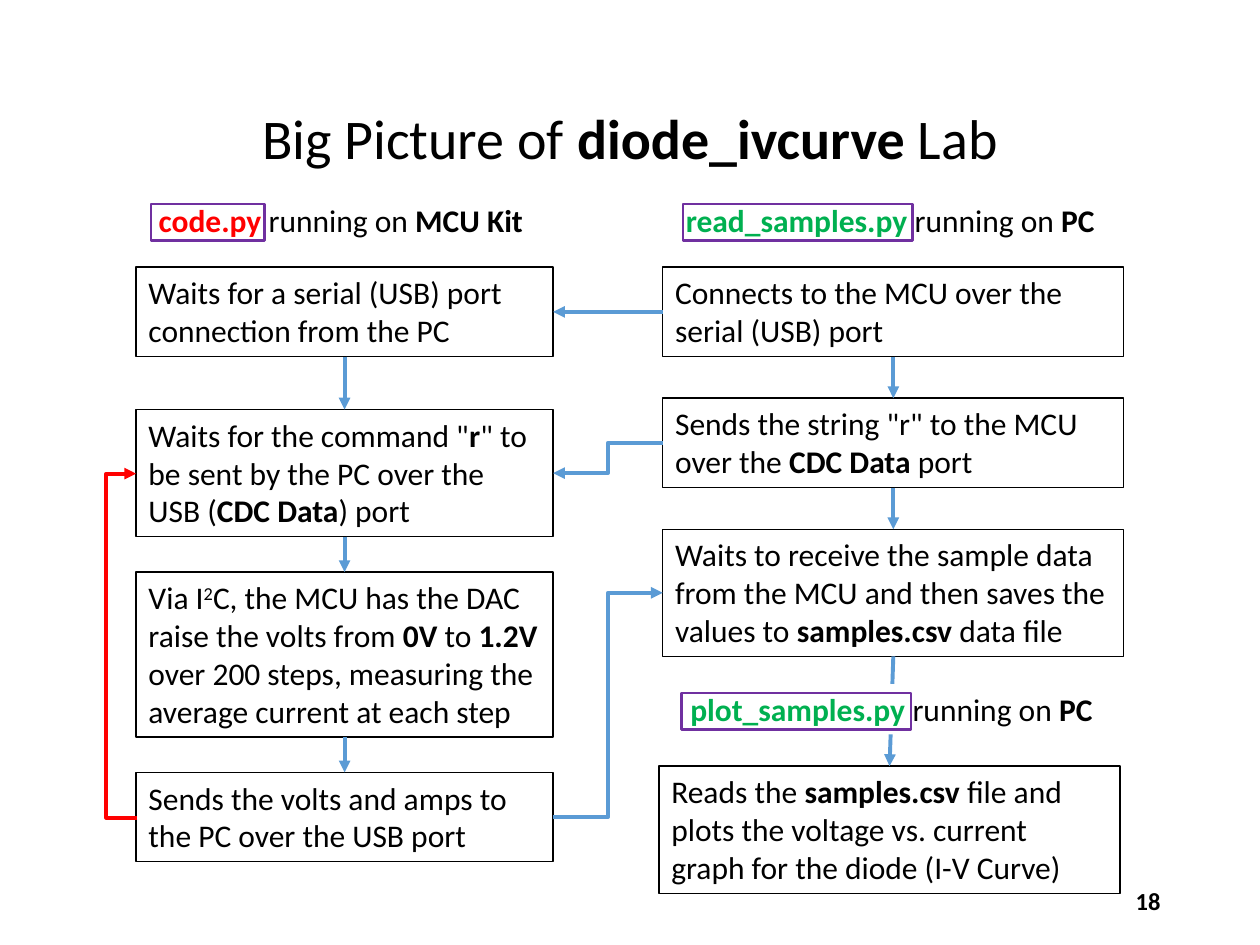
from lxml.etree import SubElement
from pptx import Presentation
from pptx.dml.color import RGBColor
from pptx.enum.shapes import MSO_CONNECTOR as Link, MSO_SHAPE as Shape
from pptx.enum.text import MSO_ANCHOR as Anchor, MSO_AUTO_SIZE as AutoSize, PP_ALIGN as Align
from pptx.oxml.ns import qn
from pptx.util import Inches, Pt

FONT = "Calibri"
BLACK, WHITE, RED, GREEN = "000000", "FFFFFF", "FF0000", "00B050"
BLUE, PURPLE = "5B9BD5", "7030A0"
LINE_HEIGHT, PADDING = 0.3, 0.11
LABEL_HEIGHT = 0.4
TOP, LEFT, BOTTOM, RIGHT = range(4)  # connection sites of a rectangle


def colour(value):
    return RGBColor.from_string(value)


def inches(*lengths):
    return [Inches(length) for length in lengths]


def add_runs(para, spans, size=18):
    """Add spans, each a string or a (text, style) pair with bold, colour or baseline."""
    for item in spans:
        text, style = (item, {}) if isinstance(item, str) else item
        span = para.add_run()
        span.text = text
        span.font.name = FONT
        span.font.size = Pt(size)
        span.font.bold = style.get("bold", False)
        span.font.color.rgb = colour(style.get("colour", BLACK))
        if "baseline" in style:
            span.font._element.set("baseline", str(style["baseline"]))


def bold(text, tint=BLACK):
    return text, {"bold": True, "colour": tint}


def add_rectangle(page, area, line=None, width=0.75, fill=None):
    box = page.shapes.add_shape(Shape.RECTANGLE, *inches(*area))
    box.shadow.inherit = False
    if fill:
        box.fill.solid()
        box.fill.fore_color.rgb = colour(fill)
    else:
        box.fill.background()
    if line:
        box.line.color.rgb = colour(line)
        box.line.width = Pt(width)
    else:
        box.line.fill.background()
    return box


def fill_text(box, spans, align=Align.LEFT, size=18, anchor=Anchor.TOP, grow=True):
    frame = box.text_frame
    frame.word_wrap = True
    frame.auto_size = AutoSize.SHAPE_TO_FIT_TEXT if grow else AutoSize.NONE
    frame.vertical_anchor = anchor
    para = frame.paragraphs[0]
    para.alignment = align
    add_runs(para, spans, size)


def add_step(page, left, top, width, lines, spans):
    box = add_rectangle(page, (left, top, width, PADDING + LINE_HEIGHT * lines), BLACK)
    fill_text(box, spans)
    return box


def add_column(page, left, top, width, steps):
    """Stack steps of (gap above, line count, spans) and return their boxes."""
    boxes = []
    for gap, lines, spans in steps:
        top += gap
        boxes.append(add_step(page, left, top, width, lines, spans))
        top += PADDING + LINE_HEIGHT * lines
    return boxes


def add_label(page, area, script, tint, place, frame_offset, frame_width, fill=None):
    """Centred script caption with a purple frame around the script's name."""
    left, top = area[:2]
    box = add_rectangle(page, area, fill=fill)
    fill_text(box, [bold(script + " ", tint), "running on ", bold(place)], Align.CENTER)
    add_rectangle(page, (left + frame_offset, top + 0.07, frame_width, 0.29), PURPLE, 1.5)


def add_arrow(page, kind, points=(0, 0, 0, 0), tint=BLUE):
    arrow = page.shapes.add_connector(kind, *inches(*points))
    arrow.line.color.rgb = colour(tint)
    arrow.line.width = Pt(2.25)
    properties = arrow._element.spPr
    SubElement(properties.find(qn("a:ln")), qn("a:tailEnd"), type="triangle")
    SubElement(properties, qn("a:effectLst"))
    return arrow


def join(page, start, start_site, end, end_site, kind=Link.STRAIGHT):
    arrow = add_arrow(page, kind)
    arrow.begin_connect(start, start_site)
    arrow.end_connect(end, end_site)


def add_return_loop(page, edge, start_y, end_y, reach=0.25):
    """Red elbow that leaves the left edge and comes back to it higher up."""
    step = 0.01  # an elbow needs some width for its bend to be measured in
    arrow = add_arrow(page, Link.ELBOW, (edge + step, start_y, edge, end_y), RED)
    geometry = arrow._element.spPr.find(qn("a:prstGeom"))
    bend = round(reach / step * 100000)
    SubElement(geometry.get_or_add_avLst(), qn("a:gd"), name="adj1", fmla=f"val {bend}")


def add_title(page, area, spans):
    title = page.shapes.title
    title.left, title.top, title.width, title.height = inches(*area)
    fill_text(title, spans, Align.CENTER, 32, Anchor.MIDDLE, grow=False)
    title.text_frame.paragraphs[0].line_spacing = 0.9


def add_page_number(page, area, number):
    box = page.shapes.add_textbox(*inches(*area))
    fill_text(box, [bold(number)], Align.RIGHT, 14, Anchor.MIDDLE, grow=False)


def main():
    deck = Presentation()
    deck.slide_width, deck.slide_height = inches(10, 7.5)
    page = deck.slides.add_slide(deck.slide_layouts[5])
    add_title(page, (0.69, 0.4, 8.62, 1.45),
              ["Big Picture of ", bold("diode_ivcurve"), " Lab"])
    add_page_number(page, (7.06, 6.95, 2.25, 0.4), "18")

    board_left, pc_left, pc_width, top = 1.08, 5.26, 3.66, 2.12
    board = add_column(page, board_left, top, 3.31, [
        (0, 2, ["Waits for a serial (USB) port connection from the PC"]),
        (0.42, 3, ['Waits for the command "', bold("r"),
                   '" to be sent by the PC over the USB (', bold("CDC Data"), ") port"]),
        (0.28, 4, ["Via I", ("2", {"baseline": 30000}),
                   "C, the MCU has the DAC raise the volts from ", bold("0V"), " to ",
                   bold("1.2V"),
                   " over 200 steps, measuring the average current at each step"]),
        (0.28, 2, ["Sends the volts and amps to the PC over the USB port"]),
    ])
    computer = add_column(page, pc_left, top, pc_width, [
        (0, 2, ["Connects to the MCU over the serial (USB) port"]),
        (0.33, 2, ['Sends the string "r" to the MCU over the ', bold("CDC Data"), " port"]),
        (0.33, 3, ["Waits to receive the sample data from the MCU and then saves the "
                   "values to ", bold("samples.csv "), "data file"]),
    ])
    plot = add_step(page, 5.23, 6.08, pc_width, 3, [
        "Reads the ", bold("samples.csv "),
        "file and plots the voltage vs. current graph for the diode (I-V Curve)"])

    for chain in (board, computer + [plot]):
        for upper, lower in zip(chain, chain[1:]):
            join(page, upper, BOTTOM, lower, TOP)
    for sender, receiver in zip(computer[:2], board):
        join(page, sender, LEFT, receiver, RIGHT, Link.ELBOW)
    join(page, board[3], RIGHT, computer[2], LEFT, Link.ELBOW)
    add_return_loop(page, board_left, 6.49, 3.76)

    add_label(page, (board_left, 1.55, 3.25, LABEL_HEIGHT),
              "code.py", RED, "MCU Kit", 0.12, 0.9)
    add_label(page, (5.04, 1.55, 4.05, LABEL_HEIGHT),
              "read_samples.py", GREEN, "PC", 0.38, 1.82)
    add_label(page, (5.05, 5.43, 4.05, LABEL_HEIGHT),
              "plot_samples.py", GREEN, "PC", 0.36, 1.82, WHITE)
    deck.save("out.pptx")


if __name__ == "__main__":
    main()
